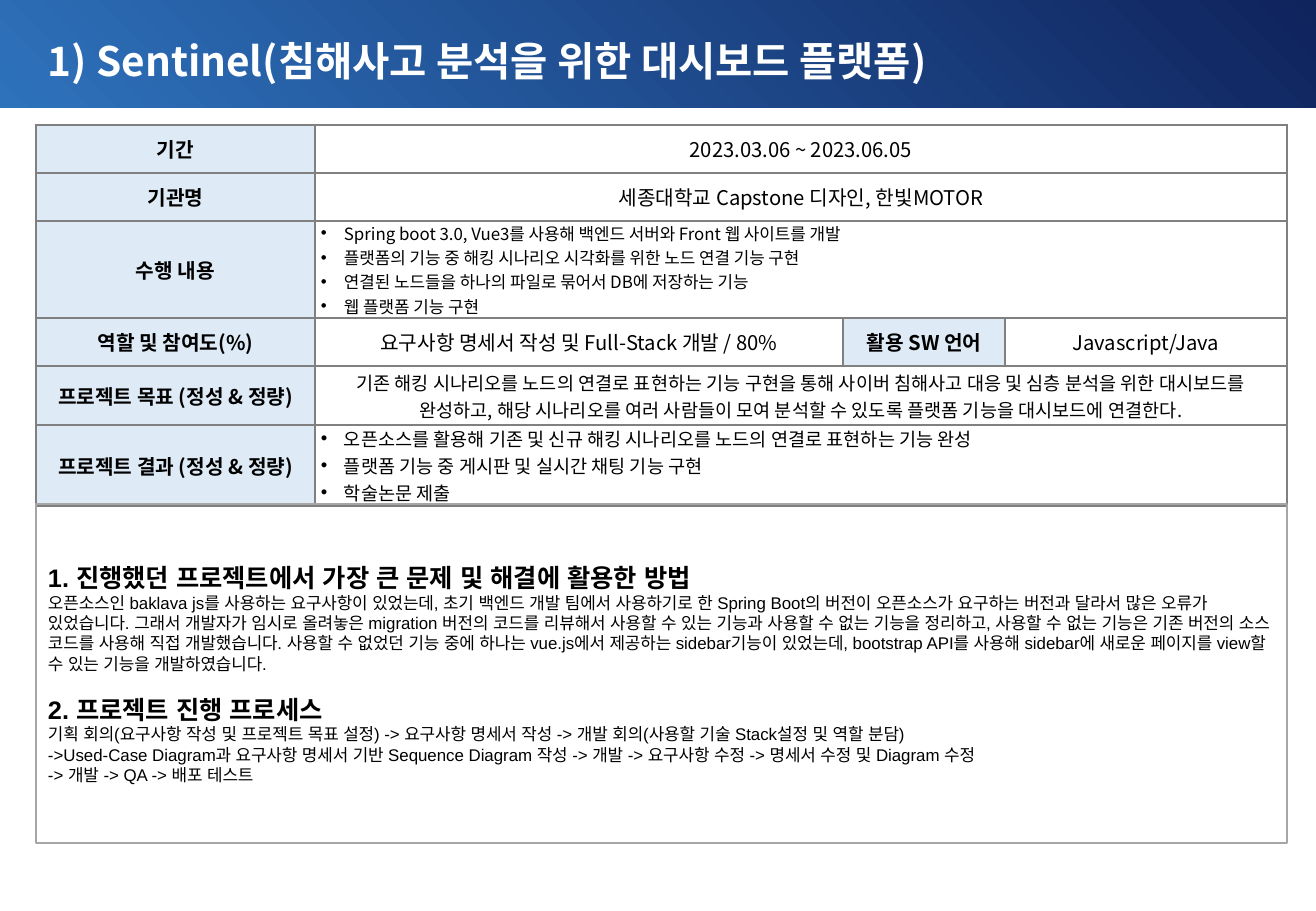
from lxml.etree import SubElement
from pptx import Presentation
from pptx.dml.color import RGBColor
from pptx.enum.shapes import MSO_SHAPE
from pptx.enum.text import MSO_ANCHOR, PP_ALIGN
from pptx.oxml.ns import qn
from pptx.util import Emu, Pt

WHITE = RGBColor(0xFF, 0xFF, 0xFF)
BLACK = RGBColor(0x00, 0x00, 0x00)
SKY = RGBColor(0x2E, 0x72, 0xBC)
NAVY = RGBColor(0x0F, 0x23, 0x5D)
LABEL = RGBColor(0xDE, 0xEB, 0xF7)
GRID = RGBColor(0x80, 0x80, 0x80)
FRAME = RGBColor(0xA6, 0xA6, 0xA6)

COLUMNS = [279, 528, 162, 282]
ROWS = [48, 48, 97, 48, 59, 81]

# Each row: cells of (text lines, size, bulleted); labels and values alternate
PROJECT = [
    [(["기간"], 12, False), (["2023.03.06 ~ 2023.06.05"], 12, False)],
    [(["기관명"], 12, False),
     (["세종대학교 Capstone 디자인, 한빛MOTOR"], 12, False)],
    [(["수행 내용"], 12, False),
     (["Spring boot 3.0, Vue3를 사용해 백엔드 서버와 Front 웹 사이트를 개발",
       "플랫폼의 기능 중 해킹 시나리오 시각화를 위한 노드 연결 기능 구현",
       "연결된 노드들을 하나의 파일로 묶어서 DB에 저장하는 기능",
       "웹 플랫폼 기능 구현"], 10, True)],
    [(["역할 및 참여도(%)"], 12, False),
     (["요구사항 명세서 작성 및 Full-Stack 개발 / 80%"], 12, False),
     (["활용 SW 언어"], 12, False), (["Javascript/Java"], 12, False)],
    [(["프로젝트 목표 (정성 & 정량)"], 12, False),
     (["기존 해킹 시나리오를 노드의 연결로 표현하는 기능 구현을 통해 사이버 침해사고 "
       "대응 및 심층 분석을 위한 대시보드를 완성하고, 해당 시나리오를 여러 사람들이 모여 "
       "분석할 수 있도록 플랫폼 기능을 대시보드에 연결한다."], 11, False)],
    [(["프로젝트 결과 (정성 & 정량)"], 12, False),
     (["오픈소스를 활용해 기존 및 신규 해킹 시나리오를 노드의 연결로 표현하는 기능 완성",
       "플랫폼 기능 중 게시판 및 실시간 채팅 기능 구현",
       "학술논문 제출"], 11, True)],
]

# Heading and its paragraphs
REVIEW = [
    ("1. 진행했던 프로젝트에서 가장 큰 문제 및 해결에 활용한 방법",
     ["오픈소스인 baklava js를 사용하는 요구사항이 있었는데, 초기 백엔드 개발 팀에서 "
      "사용하기로 한 Spring Boot의 버전이 오픈소스가 요구하는 버전과 달라서 많은 오류가 "
      "있었습니다. 그래서 개발자가 임시로 올려놓은 migration 버전의 코드를 리뷰해서 사용할 "
      "수 있는 기능과 사용할 수 없는 기능을 정리하고, 사용할 수 없는 기능은 기존 버전의 "
      "소스 코드를 사용해 직접 개발했습니다. 사용할 수 없었던 기능 중에 하나는 vue.js에서 "
      "제공하는 sidebar기능이 있었는데, bootstrap API를 사용해 sidebar에 새로운 페이지를 "
      "view할 수 있는 기능을 개발하였습니다."]),
    ("2. 프로젝트 진행 프로세스",
     ["기획 회의(요구사항 작성 및 프로젝트 목표 설정) -> 요구사항 명세서 작성 -> "
      "개발 회의(사용할 기술 Stack설정 및 역할 분담)",
      "->Used-Case Diagram과 요구사항 명세서 기반 Sequence Diagram 작성 -> 개발 -> "
      "요구사항 수정 -> 명세서 수정 및 Diagram 수정",
      "-> 개발 -> QA -> 배포 테스트"]),
]


def px(count):
    return Emu(round(count * 914400 / 121.5))


class Page:
    korean = "Noto Sans CJK KR"
    latin = "Arial"

    def __init__(self, deck):
        self.slide = deck.slides.add_slide(deck.slide_layouts[6])
        self.shapes = self.slide.shapes

    def set_text(self, para, text, size, bold, font, color=BLACK):
        para.text = text
        for span in para.runs:
            span.font.size = Pt(size)
            span.font.bold = bold
            span.font.color.rgb = color
            span.font.name = font
            properties = span.font._element
            SubElement(properties, qn("a:ea")).set("typeface", font)

    def bullet(self, para):
        properties = para._p.get_or_add_pPr()
        properties.set("marL", str(px(23)))
        properties.set("indent", str(-px(23)))
        SubElement(properties, qn("a:buFont")).set("typeface", self.latin)
        SubElement(properties, qn("a:buChar")).set("char", "•")

    def band(self, left, top, width, height):
        band = self.shapes.add_shape(MSO_SHAPE.RECTANGLE, px(left), px(top), px(width), px(height))
        band.shadow.inherit = False
        band.line.fill.background()
        band.fill.gradient()
        band.fill.gradient_angle = 315
        for stop, color in zip(band.fill.gradient_stops, (SKY, NAVY)):
            stop.color.rgb = color
        band._element.spPr.xfrm.set("flipV", "1")

    def title(self, text, left, top, width, height):
        box = self.shapes.add_textbox(px(left), px(top), px(width), px(height))
        frame = box.text_frame
        frame.word_wrap = True
        frame.vertical_anchor = MSO_ANCHOR.MIDDLE
        self.set_text(frame.paragraphs[0], text, 24, True, self.korean, WHITE)

    def cell_borders(self, cell):
        properties = cell._tc.get_or_add_tcPr()
        for side in ("lnL", "lnR", "lnT", "lnB"):
            line = SubElement(properties, qn(f"a:{side}"), w=str(Pt(1)))
            fill = SubElement(line, qn("a:solidFill"))
            SubElement(fill, qn("a:srgbClr"), val=str(GRID))

    def fill_cell(self, cell, lines, size, bulleted, is_label):
        cell.fill.solid()
        cell.fill.fore_color.rgb = LABEL if is_label else WHITE
        cell.vertical_anchor = MSO_ANCHOR.MIDDLE
        cell.margin_left = cell.margin_right = px(6)
        cell.margin_top = cell.margin_bottom = 0
        frame = cell.text_frame
        frame.text = "\n".join(lines)
        for para, text in zip(frame.paragraphs, lines):
            para.alignment = PP_ALIGN.JUSTIFY if bulleted else PP_ALIGN.CENTER
            if bulleted:
                self.bullet(para)
            self.set_text(para, text, size, is_label, self.korean)

    def table(self, rows, left, top):
        table = self.shapes.add_table(len(ROWS), len(COLUMNS), px(left), px(top),
                                      px(sum(COLUMNS)), px(sum(ROWS))).table
        table.first_row = table.horz_banding = False
        for column, width in zip(table.columns, COLUMNS):
            column.width = px(width)
        for row, height in zip(table.rows, ROWS):
            row.height = px(height)
        for cell in table.iter_cells():
            self.cell_borders(cell)
        for index, cells in enumerate(rows):
            if len(cells) == 2:
                table.cell(index, 1).merge(table.cell(index, 3))
            for column, content in enumerate(cells):
                self.fill_cell(table.cell(index, column), *content, column % 2 == 0)

    def review(self, sections, left, top, width, height):
        box = self.shapes.add_shape(MSO_SHAPE.RECTANGLE, px(left), px(top), px(width), px(height))
        box.shadow.inherit = False
        box.fill.background()
        box.line.color.rgb = FRAME
        box.line.width = Pt(1)
        frame = box.text_frame
        frame.word_wrap = True
        frame.vertical_anchor = MSO_ANCHOR.MIDDLE
        for number, (heading, texts) in enumerate(sections):
            para = frame.add_paragraph() if number else frame.paragraphs[0]
            para.alignment = PP_ALIGN.LEFT
            if number:
                para.space_before = Pt(12)
            self.set_text(para, heading, 15, True, self.latin)
            for text in texts:
                para = frame.add_paragraph()
                para.alignment = PP_ALIGN.LEFT
                self.set_text(para, text, 10, False, self.latin)


def main():
    deck = Presentation()
    deck.slide_width, deck.slide_height = px(1316), px(911)
    page = Page(deck)

    # Header
    page.band(0, 0, 1316, 108)
    page.title("1) Sentinel(침해사고 분석을 위한 대시보드 플랫폼)", 36, 26, 1042, 68)

    # Project facts
    page.table(PROJECT, 36, 125)

    # Problems and process
    page.review(REVIEW, 36, 504, 1251, 339)

    deck.save("out.pptx")


if __name__ == "__main__":
    main()
